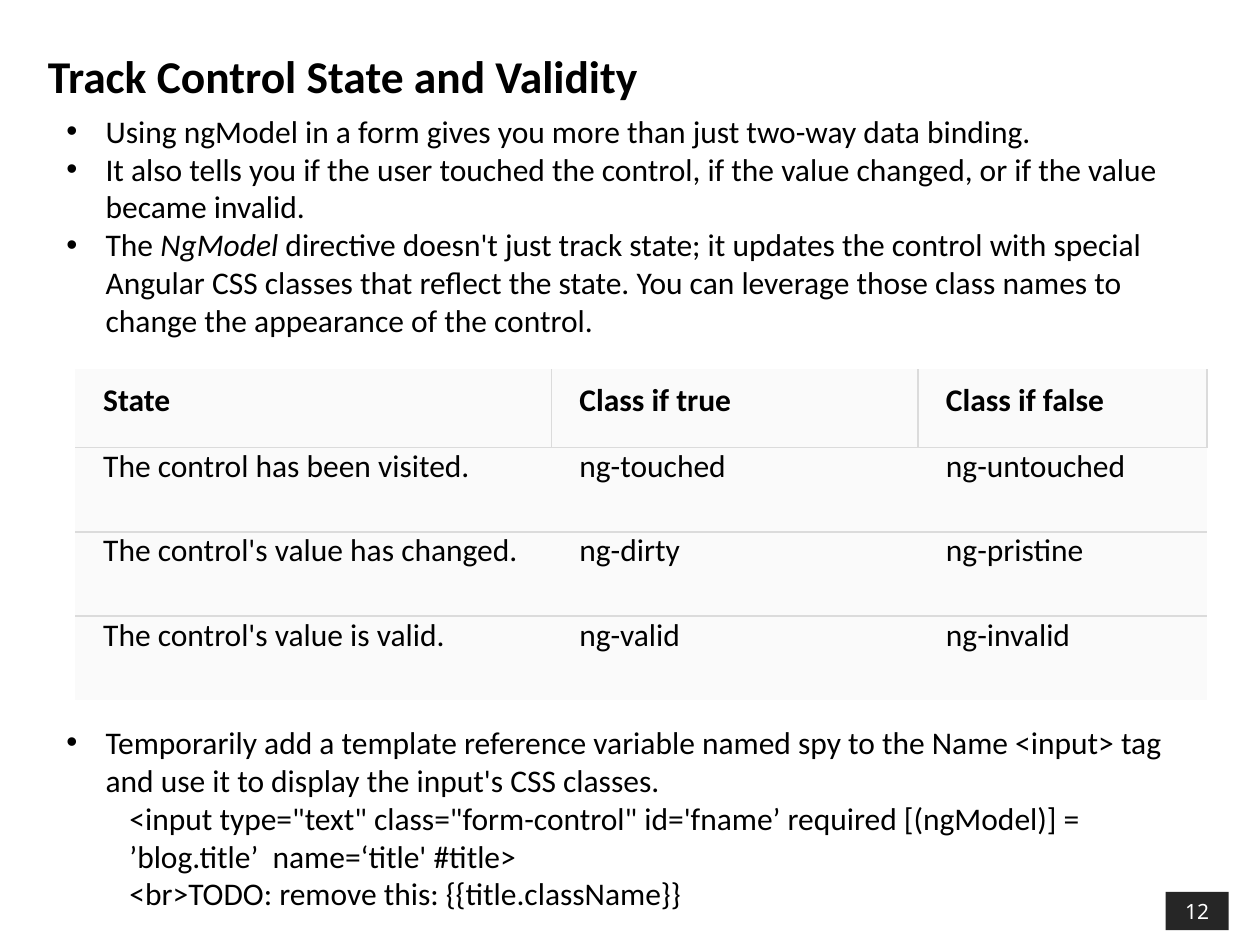
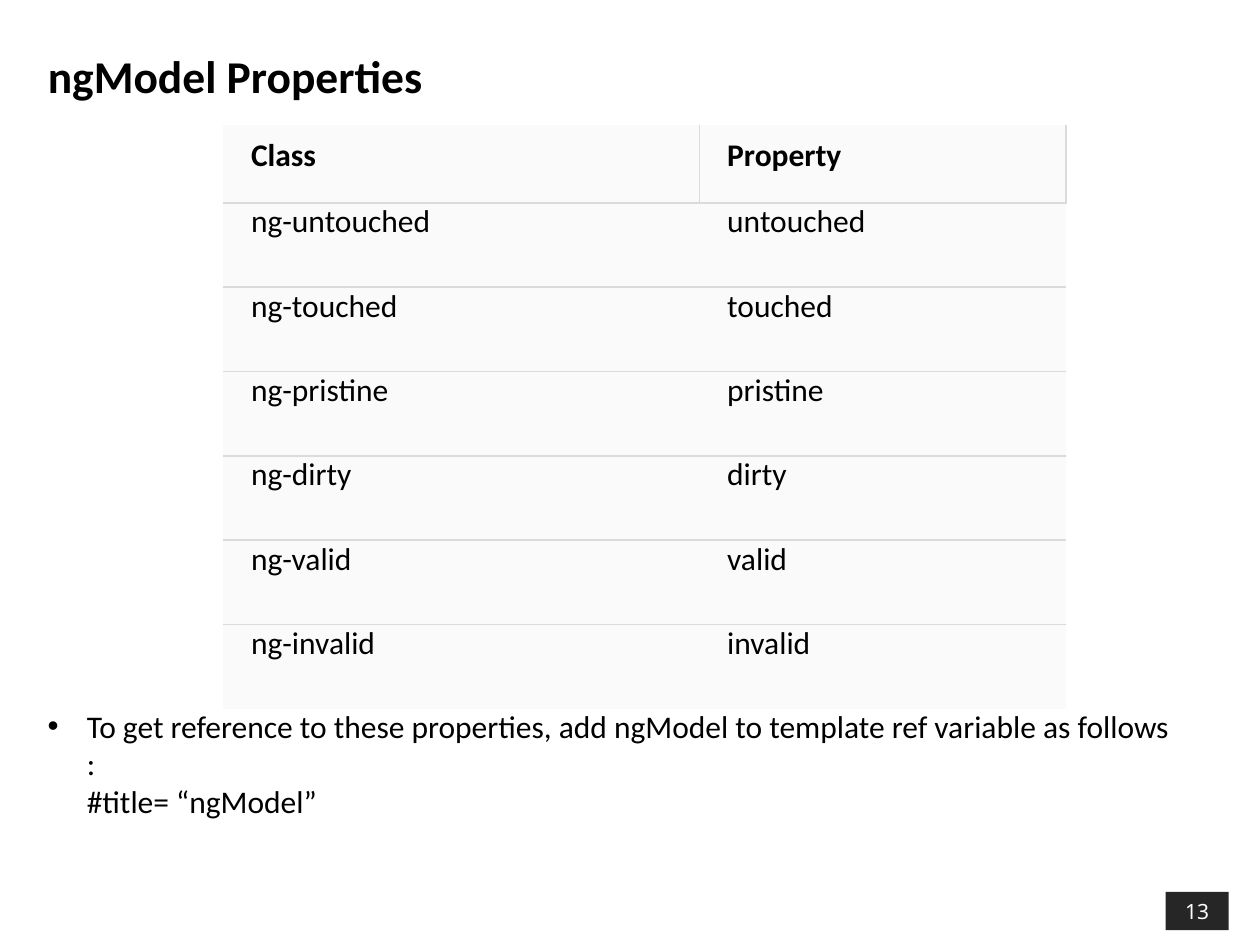
"""Builds two slides on the control states and properties of ngModel."""
from lxml import etree
from pptx import Presentation
from pptx.dml.color import RGBColor
from pptx.enum import shapes, text
from pptx.oxml import ns
from pptx.util import Cm, Pt

INK, BADGE, WHITE, CELL, RULE = "000000", "262626", "FFFFFF", "FAFAFA", "DBDBDB"
BODY = {"name": "Calibri", "size": Pt(18), "bold": False}
HEADING = {"name": "Calibri", "size": Pt(26), "bold": True}
NUMBER = {"name": "Noto Sans", "size": Pt(12)}
PLAIN_TABLE = "{2D5ABB26-0587-4C30-8999-92F81FD0307C}"
FIRST_NUMBER = 12
COLUMNS = (9.6, 7.39, 5.82)
HEADER_HEIGHT, ROW_HEIGHT = 1.58, 1.7
TABLE_GAP = 219.7

SLIDES = [
    {
        "title": "Track Control State and Validity",
        "table": {
            "at": (1.52, 7.44),
            "rows": [
                ("State", "Class if true", "Class if false"),
                ("The control has been visited.", "ng-touched", "ng-untouched"),
                ("The control's value has changed.", "ng-dirty", "ng-pristine"),
                ("The control's value is valid.", "ng-valid", "ng-invalid"),
            ],
        },
        "notes_box": (1.09, 2.13, 22.81, 16.41),
        "points": [
            {"runs": ["Using\u00a0ngModel\u00a0in a form gives you more than just two-way data binding. "]},
            {"runs": ["It also tells you if the user touched the control, if the value changed, "
                      "or if the value became invalid."]},
            {"runs": ["The\u00a0", ("NgModel",),
                      "\u00a0directive doesn't just track state; it updates the control with special "
                      "Angular CSS classes that reflect the state. You can leverage those class "
                      "names to change the appearance of the control."]},
            {"gap": TABLE_GAP,
             "runs": ["Temporarily add a\u00a0template reference variable\u00a0named\u00a0spy\u00a0to "
                      "the\u00a0Name\u00a0<input>\u00a0tag and use it to display the input's CSS classes."]},
            {"code": True,
             "runs": ["<input type=\"text\" class=\"form-control\" id='fname’ required [(ngModel)] = "
                      "’blog.title’  name=‘title' #title> "]},
            {"code": True, "runs": ["<br>TODO: remove this: {{title.className}}"]},
        ],
    },
    {
        "title": "ngModel Properties",
        "table": {
            "at": (4.5, 2.51),
            "rows": [("Class", "Property")] + [
                ("ng-" + state, state)
                for state in ("untouched", "touched", "pristine", "dirty", "valid", "invalid")
            ],
        },
        "notes_box": (0.71, 14.12, 23.19, 2.57),
        "points": [
            {"runs": ["To get reference to these properties, add ngModel to template ref variable "
                      "as follows : ", "\n", "#title= “ngModel”"]},
        ],
    },
]


def rgb(value):
    return RGBColor.from_string(value)


def apply(target, values):
    for key, value in values.items():
        setattr(target, key, value)


def style(font, values, colour=INK):
    apply(font, values)
    font.color.rgb = rgb(colour)


def place(shape, left, top, width, height):
    apply(shape, {"left": Cm(left), "top": Cm(top), "width": Cm(width), "height": Cm(height)})


def add_title(slide, wording):
    title = slide.shapes.title
    place(title, 0.71, 0.53, 20.17, 1.96)
    title.text_frame.text = wording
    title.text_frame.vertical_anchor = text.MSO_ANCHOR.MIDDLE
    paragraph = title.text_frame.paragraphs[0]
    paragraph.alignment = text.PP_ALIGN.LEFT
    style(paragraph.runs[0].font, HEADING)


def add_badge(slide, number):
    badge = slide.shapes.add_shape(
        shapes.MSO_SHAPE.RECTANGLE, Cm(23.5), Cm(17.98), Cm(1.27), Cm(0.77))
    badge.shadow.inherit = False
    badge.fill.solid()
    badge.fill.fore_color.rgb = rgb(BADGE)
    badge.line.fill.background()
    apply(badge.text_frame, {"margin_top": 0, "margin_bottom": 0,
                             "vertical_anchor": text.MSO_ANCHOR.MIDDLE})
    paragraph = badge.text_frame.paragraphs[0]
    paragraph.alignment = text.PP_ALIGN.CENTER
    run = paragraph.add_run()
    run.text = str(number)
    style(run.font, NUMBER, WHITE)


def indent(paragraph, left, hanging, bullet):
    properties = paragraph._p.get_or_add_pPr()
    properties.set("marL", str(Cm(left)))
    properties.set("indent", str(-Cm(hanging)))
    if bullet:
        etree.SubElement(properties, ns.qn("a:buFont")).set("typeface", "Arial")
        etree.SubElement(properties, ns.qn("a:buChar")).set("char", "•")
    else:
        etree.SubElement(properties, ns.qn("a:buNone"))


def add_points(slide, box, points):
    frame = slide.shapes.add_textbox(*map(Cm, box)).text_frame
    frame.word_wrap = True
    for index, point in enumerate(points):
        paragraph = frame.add_paragraph() if index else frame.paragraphs[0]
        paragraph.space_before = Pt(point.get("gap", 0))
        if point.get("code"):
            paragraph.level = 1
            indent(paragraph, 1.27, 0, False)
        else:
            indent(paragraph, 0.79, 0.79, True)
        for part in point["runs"]:
            if part == "\n":
                paragraph.add_line_break()
                continue
            run = paragraph.add_run()
            run.text = "".join(part)
            style(run.font, BODY)
            run.font.italic = isinstance(part, tuple)


def add_borders(cell, sides):
    properties = cell._tc.get_or_add_tcPr()
    for side in "LRTB":
        if side in sides:
            line = etree.SubElement(properties, ns.qn("a:ln" + side), w=str(Pt(1)))
            fill = etree.SubElement(line, ns.qn("a:solidFill"))
            etree.SubElement(fill, ns.qn("a:srgbClr")).set("val", RULE)


def add_state_table(slide, at, rows):
    widths = COLUMNS[:len(rows[0])]
    heights = [HEADER_HEIGHT] + [ROW_HEIGHT] * (len(rows) - 1)
    frame = slide.shapes.add_table(
        len(rows), len(widths), *map(Cm, (*at, sum(widths), sum(heights))))
    table = frame.table
    table.horz_banding = False
    table._tbl.tblPr.find(ns.qn("a:tableStyleId")).text = PLAIN_TABLE
    for column, width in zip(table.columns, widths):
        column.width = Cm(width)
    for r, (row, height) in enumerate(zip(rows, heights)):
        table.rows[r].height = Cm(height)
        for c, wording in enumerate(row):
            cell = table.cell(r, c)
            header = r == 0
            sides = ("LRB" if c else "RB") if header else "T" if r == len(rows) - 1 else "TB"
            add_borders(cell, sides)
            cell.fill.solid()
            cell.fill.fore_color.rgb = rgb(CELL)
            apply(cell, {"margin_left": Cm(0.56), "margin_right": Cm(0.56),
                         "margin_top": Cm(0.25 if header else 0), "margin_bottom": Cm(0.56)})
            cell.text = wording
            style(cell.text_frame.paragraphs[0].runs[0].font, {**BODY, "bold": header})


deck = Presentation()
apply(deck, {"slide_width": Cm(25.4), "slide_height": Cm(19.05)})
for number, content in enumerate(SLIDES, FIRST_NUMBER):
    slide = deck.slides.add_slide(deck.slide_layouts[5])
    add_badge(slide, number)
    add_title(slide, content["title"])
    add_points(slide, content["notes_box"], content["points"])
    add_state_table(slide, **content["table"])
deck.save("out.pptx")
